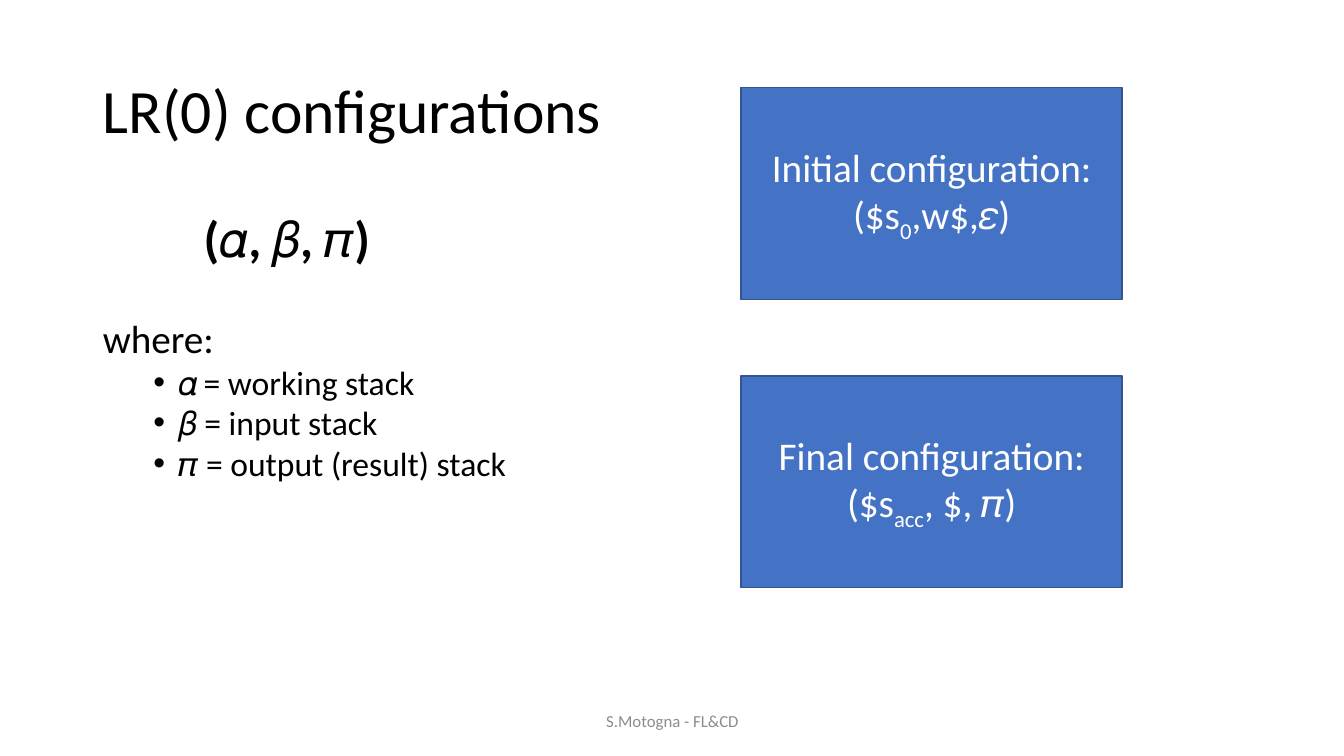
from lxml import etree
from pptx import Presentation
from pptx import util as u
from pptx.dml.color import RGBColor
from pptx.enum import shapes, text
from pptx.oxml.ns import qn

HUES = {"ink": "000000", "paper": "FFFFFF", "box": "4472C4", "edge": "325491", "foot": "8C8C8C"}
FONT = "Calibri"
TITLE = "LR(0) configurations"
TRIPLE = "\t(𝛼, 𝛽, 𝜋)"
WHERE = "where:"
PARTS = ["𝛼\t= working stack", "𝛽 = input stack", "𝜋 = output (result) stack"]
BOXES = [
    ("Initial configuration:", ("($s", "0", ",w$,𝜀)")),
    ("Final configuration:", ("($s", "acc", ", $, 𝜋)")),
]
FOOT = "S.Motogna - FL&CD"
LEFT, TOP, WIDE, HIGH, STEP = 7.35, 0.87, 3.78, 2.1, 2.86


def hue(name):
    return RGBColor.from_string(HUES[name])


def place(shape, *at):
    shape.left, shape.top, shape.width, shape.height = map(u.Inches, at)


def add_run(para, words, size, color, bold=False):
    run = para.add_run()
    run.text = words
    font = run.font
    font.name, font.size, font.bold = FONT, u.Pt(size), bold
    font.color.rgb = hue(color)
    return run


def add_line(frame, first, align):
    para = frame.paragraphs[0] if first else frame.add_paragraph()
    para.alignment = align
    para.space_before = u.Pt(0)
    return para


def set_list(para, left, hang, mark=None):
    props = para._p.get_or_add_pPr()
    props.set("marL", str(u.Inches(left)))
    props.set("indent", str(u.Inches(hang)))
    props.set("defTabSz", str(u.Inches(1)))
    if mark:
        etree.SubElement(props, qn("a:buFont"), typeface="Arial")
        etree.SubElement(props, qn("a:buChar"), char=mark)
    else:
        etree.SubElement(props, qn("a:buNone"))


def set_frame(shape, anchor):
    frame = shape.text_frame
    frame.word_wrap = True
    frame.auto_size = text.MSO_AUTO_SIZE.NONE
    frame.vertical_anchor = anchor
    return frame


def main():
    deck = Presentation()
    deck.slide_width, deck.slide_height = u.Inches(13.33), u.Inches(7.5)
    slide = deck.slides.add_slide(deck.slide_layouts[1])
    mid, top = text.MSO_ANCHOR.MIDDLE, text.MSO_ANCHOR.TOP
    near, center = text.PP_ALIGN.LEFT, text.PP_ALIGN.CENTER

    title = slide.shapes.title
    place(title, 0.92, 0.4, 11.5, 1.45)
    para = add_line(set_frame(title, mid), True, near)
    para.line_spacing = 0.9
    add_run(para, TITLE, 44, "ink")

    body = slide.placeholders[1]
    place(body, 0.92, 2, 11.5, 4.76)
    frame = set_frame(body, top)
    para = add_line(frame, True, near)
    set_list(para, 0, 0)
    add_run(para, TRIPLE, 36, "ink", True)
    para = add_line(frame, False, near)
    para.space_before = u.Pt(34)
    set_list(para, 0, 0)
    add_run(para, WHERE, 28, "ink")
    for part in PARTS:
        para = add_line(frame, False, near)
        para.level = 1
        set_list(para, 0.75, -0.25, "•")
        add_run(para, part, 24, "ink")

    foot = slide.shapes.add_textbox(0, 0, 0, 0)
    place(foot, 4.42, 6.95, 4.5, 0.4)
    add_run(add_line(set_frame(foot, mid), True, center), FOOT, 12, "foot")

    for row, (head, (start, sub, end)) in enumerate(BOXES):
        box = slide.shapes.add_shape(shapes.MSO_SHAPE.RECTANGLE, 0, 0, 0, 0)
        place(box, LEFT, TOP + row * STEP, WIDE, HIGH)
        box.shadow.inherit = False
        box.fill.solid()
        box.fill.fore_color.rgb = hue("box")
        box.line.color.rgb = hue("edge")
        box.line.width = u.Pt(1)
        frame = set_frame(box, mid)
        add_run(add_line(frame, True, center), head, 28, "paper")
        para = add_line(frame, False, center)
        add_run(para, start, 28, "paper")
        low = add_run(para, sub, 28, "paper")
        low._r.get_or_add_rPr().set("baseline", "-25000")
        add_run(para, end, 28, "paper")

    deck.save("out.pptx")


if __name__ == "__main__":
    main()
